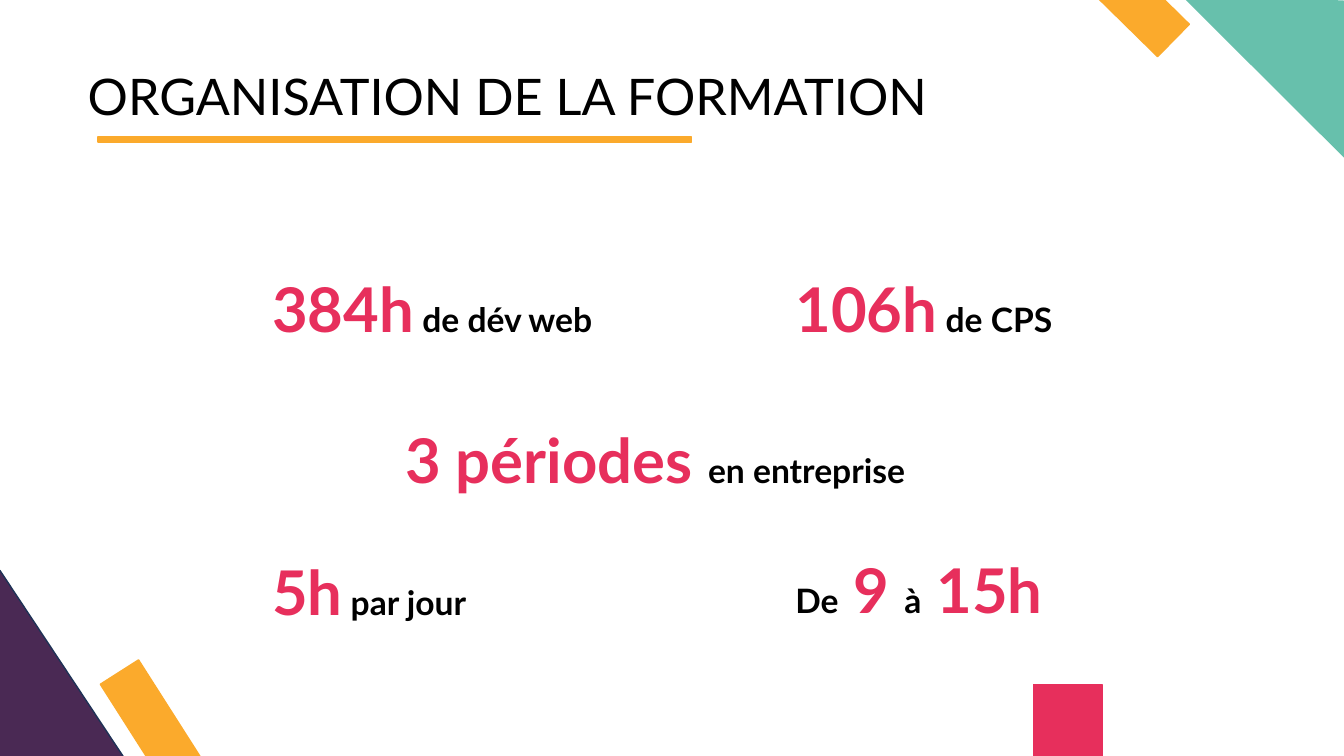
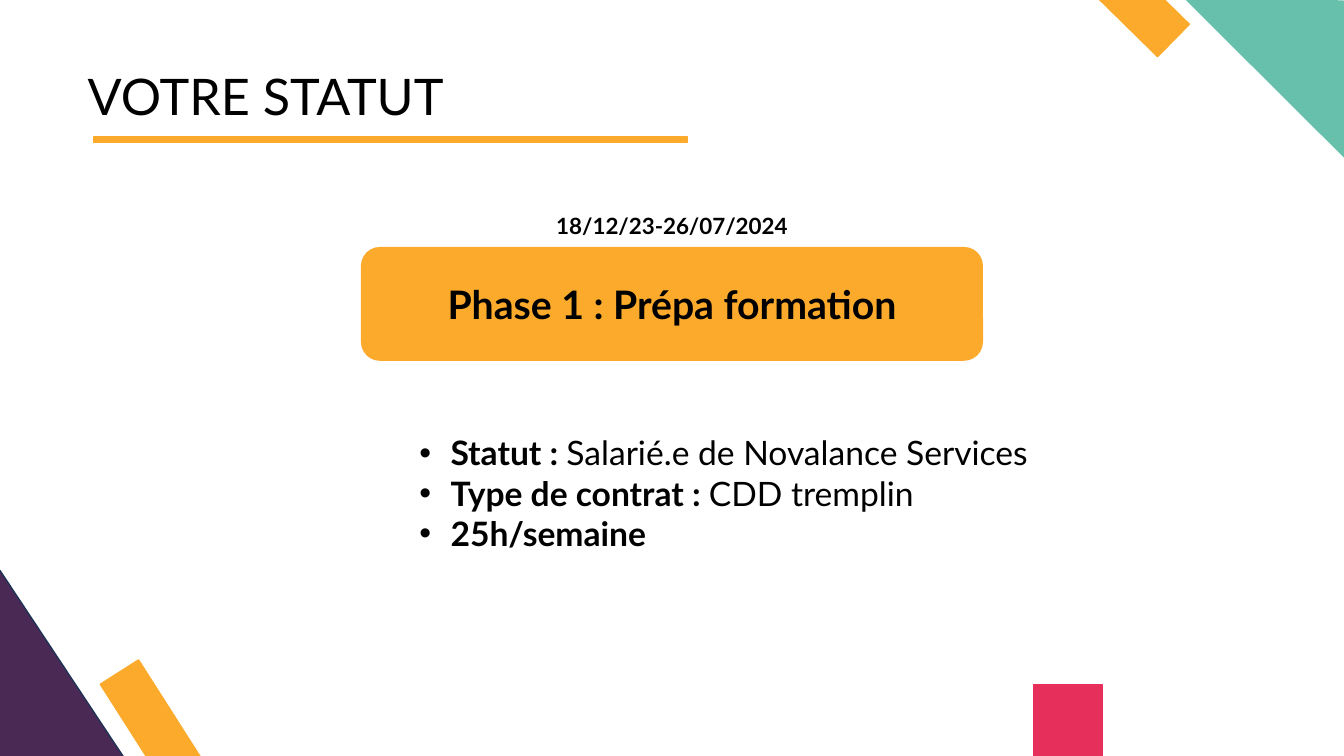
from pptx import Presentation
from pptx.dml.color import RGBColor
from pptx.enum.shapes import MSO_SHAPE
from pptx.enum.text import MSO_ANCHOR, MSO_AUTO_SIZE, PP_ALIGN
from pptx.oxml.ns import qn
from pptx.util import Pt
from lxml import etree

SCALE = 9144
FONT = "Lato"
BLACK = RGBColor(0x00, 0x00, 0x00)
PINK = RGBColor(0xE7, 0x2F, 0x5C)
GOLD = RGBColor(0xFB, 0xAA, 0x2C)
TEAL = RGBColor(0x67, 0xC0, 0xAC)
PLUM = RGBColor(0x4A, 0x29, 0x54)
NAVY = RGBColor(0x1E, 0x32, 0x56)
RECT = MSO_SHAPE.RECTANGLE
ROUND = MSO_SHAPE.ROUNDED_RECTANGLE
WEDGE = MSO_SHAPE.ISOSCELES_TRIANGLE
LEFT, CENTER = PP_ALIGN.LEFT, PP_ALIGN.CENTER
TOP, MIDDLE, BOTTOM = MSO_ANCHOR.TOP, MSO_ANCHOR.MIDDLE, MSO_ANCHOR.BOTTOM
FIXED, GROW = MSO_AUTO_SIZE.NONE, MSO_AUTO_SIZE.SHAPE_TO_FIT_TEXT


def px(*nums):
    """Turn px lengths into a list of EMU lengths."""
    return [num * SCALE for num in nums]


def big(words):
    """Give a run for a key figure."""
    return words, {"size": 44, "color": PINK}


def write(frame, *lines, size=24, color=BLACK, bold=True, align=LEFT,
          anchor=MIDDLE, fit=FIXED, space=None, bullet=False):
    """Fill a text frame with lines, each a string or a list of runs."""
    frame.word_wrap = True
    frame.auto_size = fit
    frame.vertical_anchor = anchor
    for num, line in enumerate(lines):
        para = frame.add_paragraph() if num else frame.paragraphs[0]
        if bullet:
            props = para._p.get_or_add_pPr()
            props.set("marL", str(31 * SCALE))
            props.set("indent", str(-31 * SCALE))
            etree.SubElement(props, qn("a:buFont")).set("typeface", "Arial")
            etree.SubElement(props, qn("a:buChar")).set("char", "•")
        para.alignment = align
        if space:
            para.line_spacing = space
        for part in [line] if isinstance(line, str) else line:
            words, look = (part, {}) if isinstance(part, str) else part
            run = para.add_run()
            run.text = words
            font = run.font
            font.name = FONT
            font.size = Pt(look.get("size", size))
            font.bold = look.get("bold", bold)
            font.color.rgb = look.get("color", color)


class Deck:
    """Hold the shared style and the current slide."""

    def __init__(self):
        """Open an empty wide deck."""
        self.file = Presentation()
        self.file.slide_width, self.file.slide_height = px(1333, 750)
        self.slide = None

    def shape(self, kind, box, fill, line=None, turn=0):
        """Add a filled shape, with an outline if a line colour is given."""
        shape = self.slide.shapes.add_shape(kind, *px(*box))
        shape.shadow.inherit = False
        shape.rotation = turn
        shape.fill.solid()
        shape.fill.fore_color.rgb = fill
        if line is None:
            shape.line.fill.background()
        else:
            shape.line.color.rgb = line
            shape.line.width = Pt(1)
        return shape

    def text(self, box, *lines, **look):
        """Add a text box."""
        frame = self.slide.shapes.add_textbox(*px(*box)).text_frame
        write(frame, *lines, **look)

    def decor(self):
        """Draw the corner shapes."""
        self.shape(WEDGE, (-159, 566, 318, 240), PLUM, NAVY)
        self.shape(RECT, (157, 649, 45, 227), GOLD, GOLD, 327.5)
        teal = self.shape(WEDGE, (1176, -18, 232, 110), TEAL, TEAL, 44.9)
        teal.adjustments[0] = 0.52
        self.shape(RECT, (1070, -130, 45, 200), GOLD, GOLD, 134.5)
        self.shape(RECT, (1025, 679, 68, 142), PINK, PINK)

    def page(self, title, rule):
        """Start a slide with its title and a rule that begins at the given px."""
        self.slide = self.file.slides.add_slide(self.file.slide_layouts[5])
        self.decor()
        head = self.slide.shapes.title
        head.left, head.top, head.width, head.height = px(77, 13, 1077, 117)
        write(head.text_frame, title, size=36, bold=False, anchor=BOTTOM, space=0.9)
        self.shape(RECT, (rule, 136, 589, 5), GOLD, GOLD)


def main():
    """Build both slides and save the deck."""
    deck = Deck()

    deck.page("ORGANISATION DE LA FORMATION", 97)
    facts = [
        (260, 256, 348, [big("384h"), " de dév web"]),
        (779, 256, 348, [big("106h"), " de CPS"]),
        (392, 406, 532, [big("3 périodes "), "en entreprise"]),
        (260, 537, 498, [big("5h"), " par jour"]),
        (779, 535, 288, ["De", big(" 9 "), "à", big(" 15h")]),
    ]
    for left, top, width, runs in facts:
        deck.text((left, top, width, 99), runs)

    deck.page("VOTRE STATUT", 93)
    phase = deck.shape(ROUND, (358, 245, 617, 113), GOLD)
    write(phase.text_frame, "Phase 1 : Prépa formation", size=28, align=CENTER)
    deck.text((490, 179, 353, 90), "18/12/23-26/07/2024", size=16, align=CENTER)
    plain = {"bold": False}
    deck.text(
        (406, 424, 651, 131),
        ["Statut : ", ("Salarié.e de Novalance Services", plain)],
        ["Type de contrat : ", ("CDD tremplin", plain)],
        "25h/semaine",
        anchor=TOP, fit=GROW, bullet=True,
    )

    deck.file.save("out.pptx")


if __name__ == "__main__":
    main()
